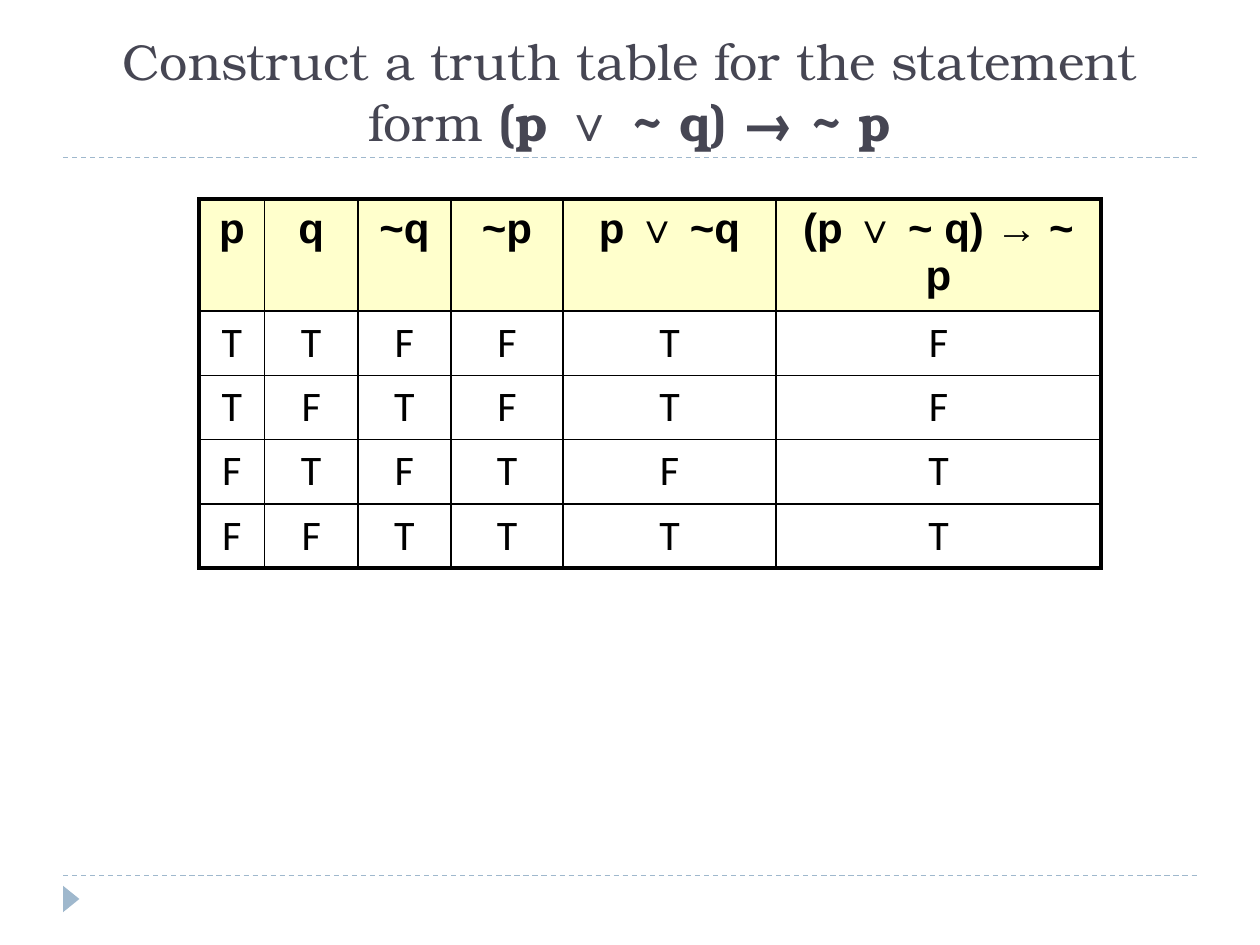
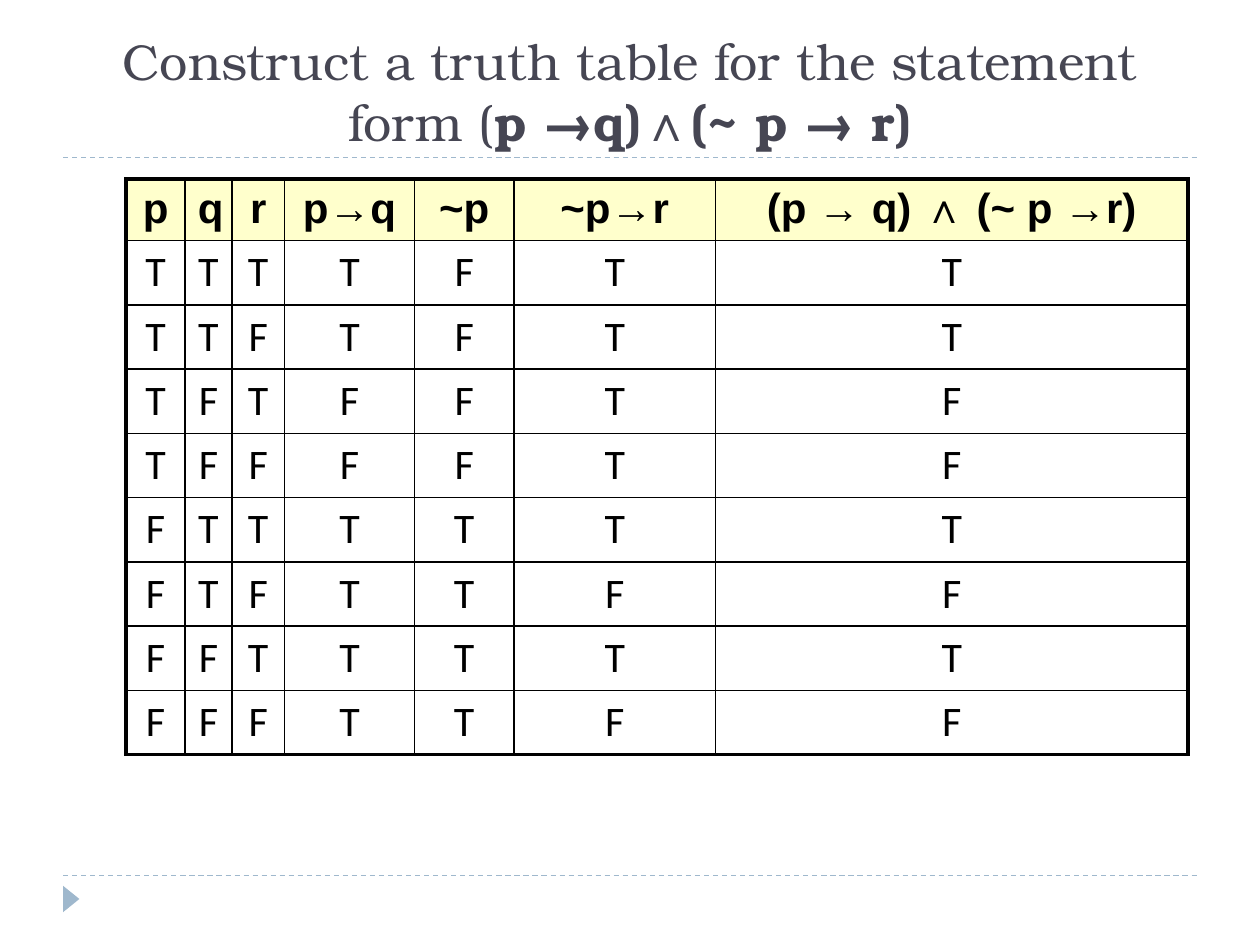
from lxml import etree
from pptx import Presentation
from pptx.dml.color import RGBColor
from pptx.enum import dml, shapes, text
from pptx.oxml import ns
from pptx.util import Inches, Pt

ACCENT = "9FB8CD"
INK = "464653"
BLACK = "000000"
HEAD = "FFFFCC"
ROW_H = 0.51


def rgb(code):
    return RGBColor.from_string(code)


def style(para, name, size, color):
    para.alignment = text.PP_ALIGN.CENTER
    font = para.font
    font.name, font.size = name, Pt(size)
    font.color.rgb = rgb(color)


def add_rule(slide, y):
    line = slide.shapes.add_connector(
        shapes.MSO_CONNECTOR.STRAIGHT,
        Inches(0.5), Inches(y), Inches(9.5), Inches(y))
    line.line.color.rgb = rgb(ACCENT)
    line.line.width = Pt(0.75)
    line.line.dash_style = dml.MSO_LINE.DASH
    etree.SubElement(line._element.spPr, ns.qn("a:effectLst"))


def add_frame(slide):
    """Draw the two dashed rules and the corner marker."""
    add_rule(slide, 6.95)
    add_rule(slide, 1.25)
    mark = slide.shapes.add_shape(
        shapes.MSO_SHAPE.ISOSCELES_TRIANGLE,
        Inches(0.46), Inches(7.07), Inches(0.21), Inches(0.13))
    mark.rotation = 90
    mark.shadow.inherit = False
    mark.fill.solid()
    mark.fill.fore_color.rgb = rgb(ACCENT)
    mark.line.fill.background()


def add_title(slide, plain, bold):
    box = slide.shapes.add_textbox(
        Inches(0.5), Inches(0.17), Inches(9), Inches(1.08))
    frame = box.text_frame
    frame.word_wrap = True
    frame.vertical_anchor = text.MSO_ANCHOR.BOTTOM
    para = frame.paragraphs[0]
    style(para, "TeX Gyre Bonum", 28.8, INK)
    para.add_run().text = plain
    run = para.add_run()
    run.text = bold
    run.font.bold = True


def add_edge(cell, side, width):
    props = cell._tc.get_or_add_tcPr()
    line = etree.SubElement(props, ns.qn("a:ln" + side), w=str(Pt(width)))
    fill = etree.SubElement(line, ns.qn("a:solidFill"))
    etree.SubElement(fill, ns.qn("a:srgbClr"), val=BLACK)


def add_table(slide, left, top, cols, head_h, heads, rows):
    """Draw a truth table; each row is a string of T and F."""
    data = [heads, *rows]
    high = head_h + ROW_H * len(rows)
    table = slide.shapes.add_table(
        len(data), len(cols), Inches(left), Inches(top),
        Inches(sum(cols)), Inches(high)).table
    table.first_row = table.horz_banding = False
    for col, width in zip(table.columns, cols):
        col.width = Inches(width)
    for r, values in enumerate(data):
        table.rows[r].height = Inches(ROW_H if r else head_h)
        for c, value in enumerate(values):
            cell = table.cell(r, c)
            outer = {"L": c == 0, "R": c == len(cols) - 1,
                     "T": r == 0, "B": r == len(rows)}
            for side, thick in outer.items():
                add_edge(cell, side, 2.25 if thick else 1)
            cell.text = value
            para = cell.text_frame.paragraphs[0]
            para.space_after = Pt(10)
            style(para, "Calibri" if r else "Arial", 24, BLACK)
            para.font.bold = r == 0
            if r:
                cell.fill.background()
            else:
                cell.margin_bottom = Inches(0.04)
                cell.fill.solid()
                cell.fill.fore_color.rgb = rgb(HEAD)


def add_slide(deck, plain, bold, *table):
    slide = deck.slides.add_slide(deck.slide_layouts[6])
    add_frame(slide)
    add_title(slide, plain, bold)
    add_table(slide, *table)


def main():
    deck = Presentation()
    deck.slide_width, deck.slide_height = Inches(10), Inches(7.5)
    lead = "Construct a truth table for the statement form "
    add_slide(
        deck, lead, "(p ∨ ~ q) → ~ p",
        1.58, 1.58, [0.52, 0.74, 0.74, 0.89, 1.69, 2.58], 0.85,
        ["p", "q", "~q", "~p", "p ∨ ~q", "(p ∨ ~ q) → ~ p"],
        ["TTFFTF", "TFTFTF", "FTFTFT", "FFTTTT"])
    add_slide(
        deck, lead + "(", "p →q)∧(~ p → r)",
        1, 1.42, [0.47, 0.37, 0.42, 1.03, 0.79, 1.6, 3.75], 0.47,
        ["p", "q", "r", "p→q", "~p", "~p→r", "(p → q) ∧ (~ p →r)"],
        ["TTTTFTT", "TTFTFTT", "TFTFFTF", "TFFFFTF",
         "FTTTTTT", "FTFTTFF", "FFTTTTT", "FFFTTFF"])
    deck.save("out.pptx")


if __name__ == "__main__":
    main()
